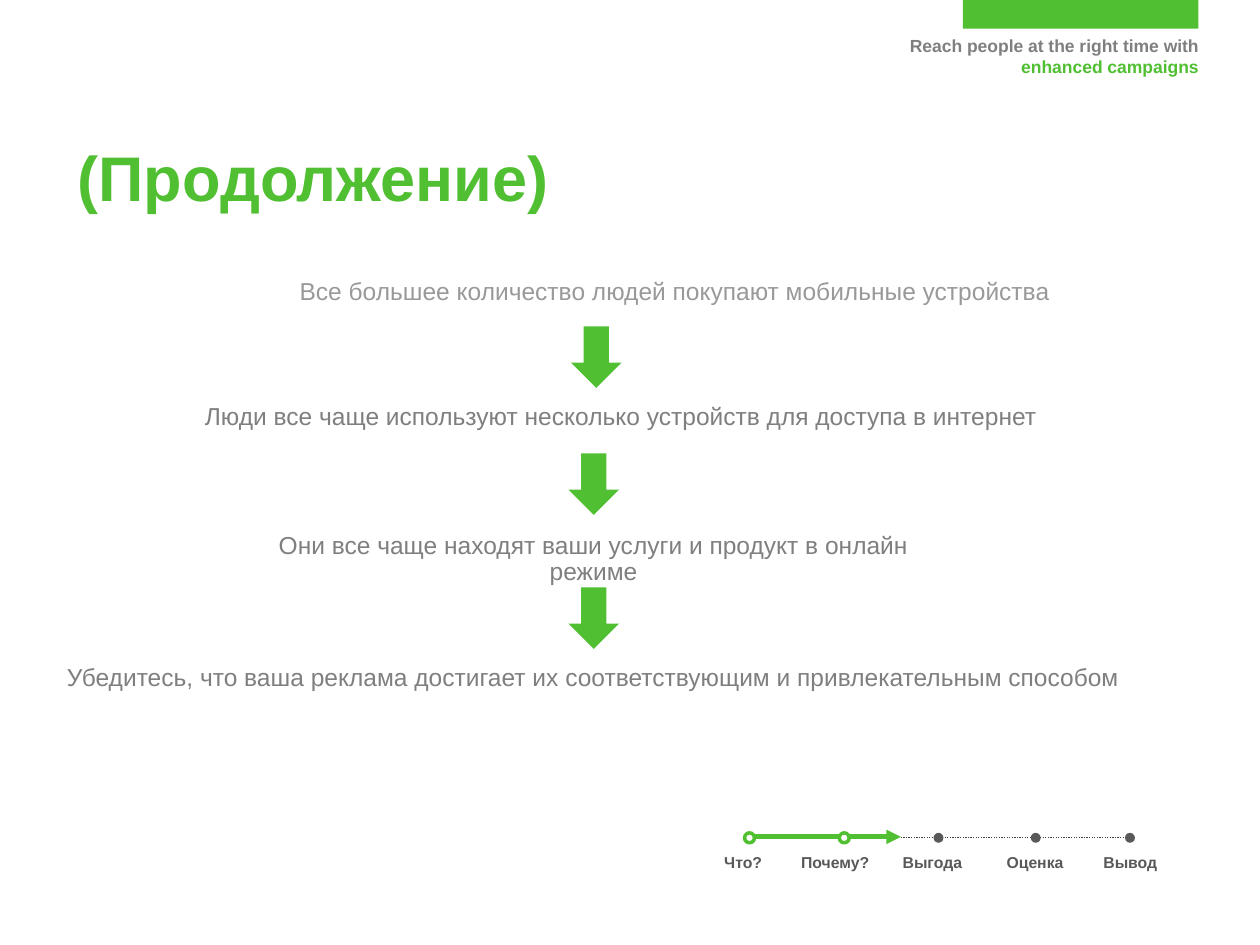
from lxml import etree
from pptx import Presentation
from pptx.dml.color import RGBColor
from pptx.enum import dml, shapes, text
from pptx.oxml.ns import qn
from pptx.util import Cm, Pt

GREEN, GREY, DARK = "50BF32", "7F7F7F", "595959"
LEFT, CENTRE, RIGHT = text.PP_ALIGN.LEFT, text.PP_ALIGN.CENTER, text.PP_ALIGN.RIGHT

deck = Presentation()
deck.slide_width, deck.slide_height = Cm(25.4), Cm(19.05)
slide = deck.slides.add_slide(deck.slide_layouts[6])
rgb = RGBColor.from_string


def add_text(runs, box, size=14, bold=False, align=LEFT, spacing=None, before=None, inset=0.13):
    """Write one paragraph of (wording, colour) runs; box is left, top, width, height in cm."""
    frame = slide.shapes.add_textbox(*map(Cm, box)).text_frame
    frame.word_wrap = True
    frame.margin_left = frame.margin_right = Cm(0.25)
    frame.margin_top = frame.margin_bottom = Cm(inset)
    paragraph = frame.paragraphs[0]
    paragraph.alignment = align
    if spacing:
        paragraph.line_spacing = spacing
    if before:
        paragraph.space_before = Pt(before)
    for wording, colour in runs:
        run = paragraph.add_run()
        run.text = wording
        run.font.name, run.font.size, run.font.bold = "Arial", Pt(size), bold
        run.font.color.rgb = rgb(colour)


def add_solid(kind, box, fill, outline=None):
    solid = slide.shapes.add_shape(kind, *map(Cm, box))
    solid.shadow.inherit = False
    solid.fill.solid()
    solid.fill.fore_color.rgb = rgb(fill)
    if outline:
        solid.line.color.rgb = rgb(outline)
        solid.line.width = Pt(2)
    else:
        solid.line.fill.background()


# Header and title
add_text([("Reach people at the right time with ", GREY), ("enhanced campaigns", GREEN)],
         (16.99, 0.58, 7.42, 1.12), size=10, bold=True, align=RIGHT)
add_solid(shapes.MSO_SHAPE.RECTANGLE, (19.41, 0, 4.75, 0.58), GREEN)
add_text([("(Продолжение)", GREEN)], (1.32, 2.84, 22.71, 0.99),
         size=36, bold=True, spacing=0.9, before=6)

# Chain of statements, joined by down arrows
add_text([("Все большее количество людей покупают мобильные устройства", "999999")],
         (5.79, 5.31, 16.89, 1.27), inset=0.25)
statements = [
    ("Люди все чаще используют несколько устройств для доступа в интернет",
     (0.38, 8.03, 24.28, 1.4)),
    ("Они все чаще находят ваши услуги и продукт в онлайн режиме",
     (5.08, 10.62, 13.77, 1.02)),
    ("Убедитесь, что ваша реклама достигает их соответствующим и привлекательным способом",
     (-0.08, 13.28, 24.08, 0.97)),
]
for wording, box in statements:
    add_text([(wording, GREY)], box, align=CENTRE, spacing=0.9)
for left, top in [(11.51, 6.58), (11.46, 9.14), (11.46, 11.84)]:
    add_solid(shapes.MSO_SHAPE.DOWN_ARROW, (left, top, 1.02, 1.24), GREEN)

# Progress track: dotted route, then the finished part with an arrowhead
for start, end, y, colour, width in [(15.09, 22.78, 16.89, "3F3F3F", 0.75),
                                     (15.16, 18.16, 16.87, GREEN, 2.75)]:
    track = slide.shapes.add_connector(shapes.MSO_CONNECTOR.STRAIGHT,
                                       Cm(start), Cm(y), Cm(end), Cm(y))
    track.line.color.rgb = rgb(colour)
    track.line.width = Pt(width)
    if colour == GREEN:
        etree.SubElement(track.line._get_or_add_ln(), qn("a:tailEnd"), type="triangle")
    else:
        track.line.dash_style = dml.MSO_LINE.ROUND_DOT
    etree.SubElement(track._element.spPr, qn("a:effectLst"))

# Each stage: label, label left, label width, alignment, dot left, done
stages = [
    ("Что?", 14.35, 1.52, LEFT, 15.01, True),
    ("Почему?", 15.9, 2.21, LEFT, 16.92, True),
    ("Выгода", 17.78, 2.03, CENTRE, 18.82, False),
    ("Оценка", 19.94, 1.85, CENTRE, 20.78, False),
    ("Вывод", 21.59, 2.39, CENTRE, 22.68, False),
]
for label, left, width, align, dot_left, done in stages:
    add_text([(label, DARK)], (left, 17.07, width, 0.7), size=9, bold=True, align=align)
    add_solid(shapes.MSO_SHAPE.OVAL, (dot_left, 16.79, 0.2, 0.2),
              "FFFFFF" if done else DARK, GREEN if done else None)

deck.save("out.pptx")
